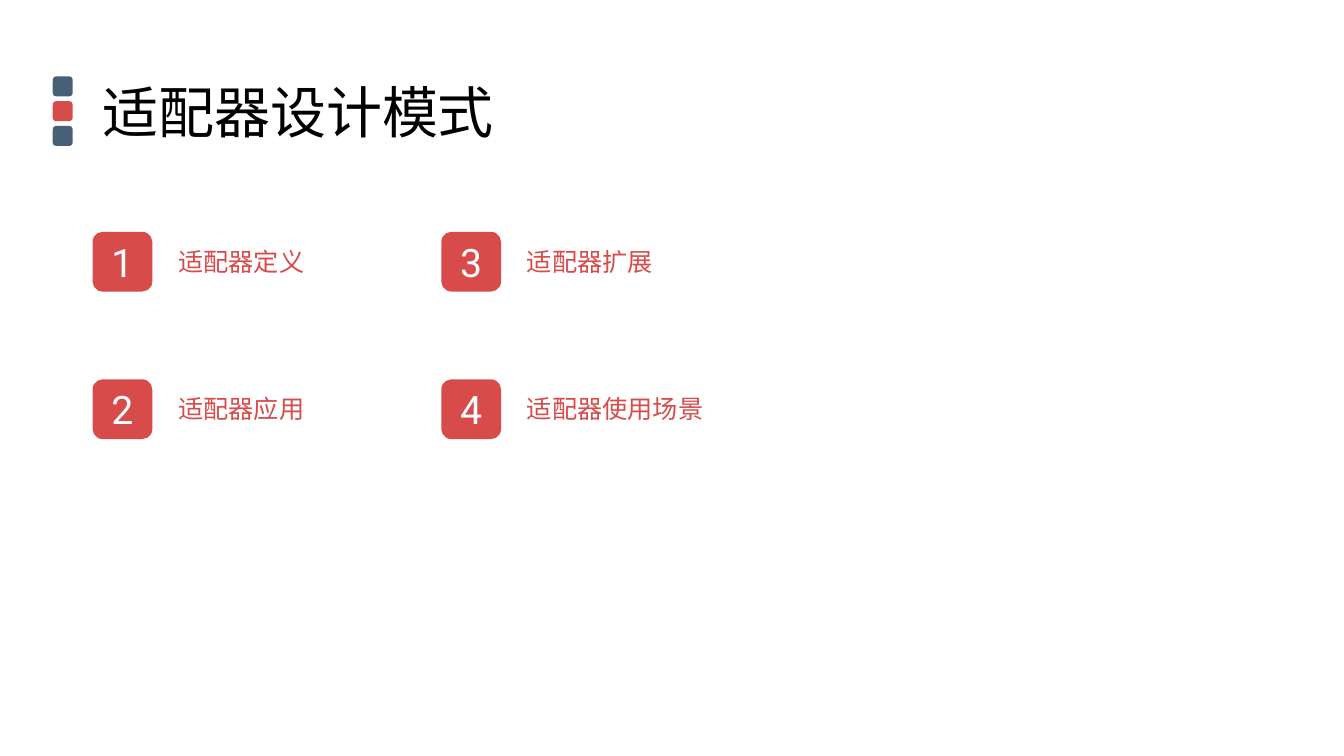
from dataclasses import dataclass

from pptx import Presentation
from pptx.dml.color import RGBColor
from pptx.enum.shapes import MSO_SHAPE
from pptx.enum.text import MSO_ANCHOR, MSO_AUTO_SIZE, PP_ALIGN
from pptx.shapes.autoshape import Shape
from pptx.slide import Slide
from pptx.util import Pt

ROUND = MSO_SHAPE.ROUNDED_RECTANGLE
TOP, MIDDLE = MSO_ANCHOR.TOP, MSO_ANCHOR.MIDDLE
LEFT, CENTER = PP_ALIGN.LEFT, PP_ALIGN.CENTER
FIT = MSO_AUTO_SIZE.SHAPE_TO_FIT_TEXT


@dataclass(frozen=True)
class Theme:
    font: str = "Roboto"
    red: str = "D74B4B"
    slate: str = "475F77"
    black: str = "000000"
    white: str = "FFFFFF"
    title: float = 40
    digit: float = 28
    label: float = 18


@dataclass(frozen=True)
class Topic:
    text: str
    width: float


THEME = Theme()
TITLE = "适配器设计模式"
TOPICS = [
    Topic("适配器定义", 104.4),
    Topic("适配器应用", 104.4),
    Topic("适配器扩展", 104.4),
    Topic("适配器使用场景", 140.4),
]
ROWS = 2
GRID_LEFT, GRID_TOP = 66.2, 165.6
COL_STEP, ROW_STEP = 249.2, 105.4
BADGE = 42.7
LABEL_DX, LABEL_DY, LABEL_H = 54.1, 6.5, 29.1
MARK_LEFT, MARK_TOP, MARK, MARK_STEP = 37.7, 54.6, 14.2, 17.7


def write(shape: Shape, text: str, *, size: float, color: str,
          align: PP_ALIGN = LEFT, anchor: MSO_ANCHOR = MIDDLE,
          wrap: bool = True, spacing: float = 1.0) -> None:
    frame = shape.text_frame
    frame.word_wrap = wrap
    frame.vertical_anchor = anchor
    para = frame.paragraphs[0]
    para.alignment = align
    para.line_spacing = spacing
    run = para.add_run()
    run.text = text
    run.font.name = THEME.font
    run.font.size = Pt(size)
    run.font.color.rgb = RGBColor.from_string(color)


def add_tile(slide: Slide, left: float, top: float, side: float, color: str) -> Shape:
    tile = slide.shapes.add_shape(ROUND, Pt(left), Pt(top), Pt(side), Pt(side))
    tile.shadow.inherit = False
    tile.fill.solid()
    tile.fill.fore_color.rgb = RGBColor.from_string(color)
    tile.line.fill.background()
    return tile


def add_box(slide: Slide, left: float, top: float, width: float, height: float) -> Shape:
    return slide.shapes.add_textbox(Pt(left), Pt(top), Pt(width), Pt(height))


def add_head(slide: Slide) -> None:
    for i, color in enumerate((THEME.slate, THEME.red, THEME.slate)):
        add_tile(slide, MARK_LEFT, MARK_TOP + i * MARK_STEP, MARK, color)
    box = add_box(slide, GRID_LEFT, 39.6, 828, 85)
    write(box, TITLE, size=THEME.title, color=THEME.black, spacing=0.9)


def add_topic(slide: Slide, index: int, topic: Topic) -> None:
    col, row = divmod(index, ROWS)
    left = GRID_LEFT + col * COL_STEP
    top = GRID_TOP + row * ROW_STEP
    tile = add_tile(slide, left, top, BADGE, THEME.red)
    write(tile, str(index + 1), size=THEME.digit, color=THEME.white, align=CENTER)
    box = add_box(slide, left + LABEL_DX, top + LABEL_DY, topic.width, LABEL_H)
    write(box, topic.text, size=THEME.label, color=THEME.red, anchor=TOP, wrap=False)
    box.text_frame.auto_size = FIT


def main() -> None:
    """Build the adapter pattern contents slide."""
    deck = Presentation()
    deck.slide_width, deck.slide_height = Pt(960.5), Pt(540)
    slide = deck.slides.add_slide(deck.slide_layouts[6])
    add_head(slide)
    for index, topic in enumerate(TOPICS):
        add_topic(slide, index, topic)
    deck.save("out.pptx")


if __name__ == "__main__":
    main()
